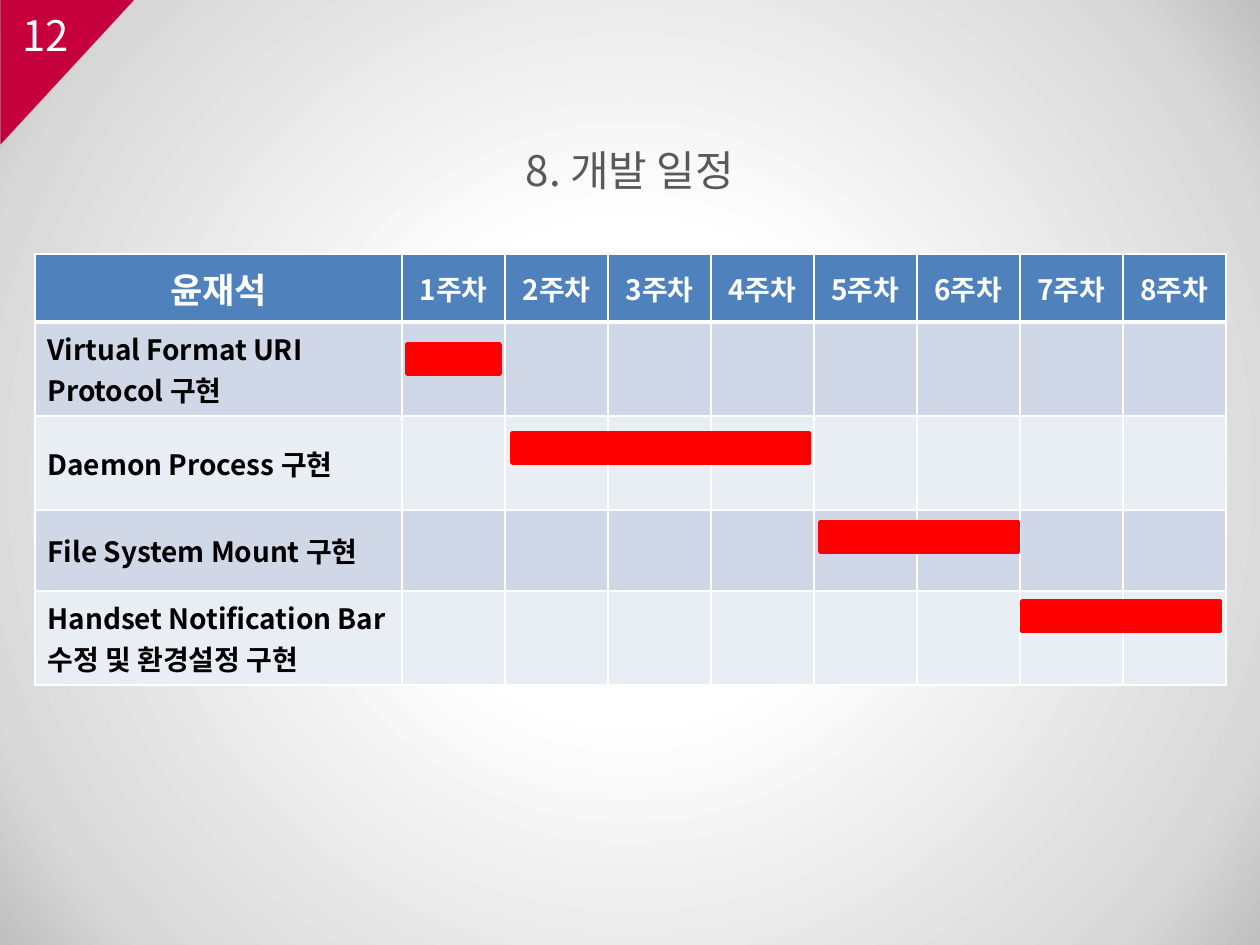
import pptx
import pptx.dml.color
import pptx.enum.shapes
import pptx.enum.text
import pptx.oxml
import pptx.oxml.ns
import pptx.util

RGBColor = pptx.dml.color.RGBColor
SHAPE = pptx.enum.shapes.MSO_SHAPE
ALIGN = pptx.enum.text.PP_ALIGN
MIDDLE = pptx.enum.text.MSO_ANCHOR.MIDDLE

FONT = "Noto Sans CJK KR"
WHITE = RGBColor(0xFF, 0xFF, 0xFF)
BLACK = RGBColor(0, 0, 0)
GREY = RGBColor(0x59, 0x59, 0x59)
CRIMSON = RGBColor(0xC5, 0x00, 0x3D)
RED = RGBColor(0xFF, 0, 0)
BLUE = RGBColor(0x4F, 0x81, 0xBD)
BANDS = [RGBColor(0xD0, 0xD8, 0xE8), RGBColor(0xE9, 0xED, 0xF4)]
BACKGROUND_STOPS = [(30, "FFFFFF"), (85, "D9D9D9"), (100, "BFBFBF")]

WEEKS = 8
TASK_WIDTH, WEEK_WIDTH = 367, 103
ROW_HEIGHTS = [68, 94, 94, 81, 94]
TASKS = [
    "Virtual Format URI Protocol 구현",
    "Daemon Process 구현",
    "File System Mount 구현",
    "Handset Notification Bar 수정 및 환경설정 구현",
]
# left, top, width of each task's bar
BARS = [(407, 344, 93), (512, 433, 297), (820, 522, 198), (1022, 601, 198)]
BAR_HEIGHT = 30


def px(n):
    return pptx.util.Emu(round(n * 914400 / 126))


def set_background(s):
    stops = "".join(
        f'<a:gs pos="{pos * 1000}"><a:srgbClr val="{color}"/></a:gs>'
        for pos, color in BACKGROUND_STOPS
    )
    bg = pptx.oxml.parse_xml(
        f'<p:bg {pptx.oxml.ns.nsdecls("p", "a")}><p:bgPr>'
        f'<a:gradFill><a:gsLst>{stops}</a:gsLst><a:path path="circle">'
        '<a:fillToRect l="50000" t="50000" r="50000" b="50000"/></a:path>'
        "</a:gradFill><a:effectLst/></p:bgPr></p:bg>"
    )
    s.element.cSld.insert(0, bg)


def write(tf, text, size, color, align=ALIGN.LEFT, bold=False):
    p = tf.paragraphs[0]
    p.alignment = align
    r = p.add_run()
    r.text = text
    r.font.size = pptx.util.Pt(size)
    r.font.bold = bold
    r.font.color.rgb = color
    r.font.name = FONT
    ea = pptx.oxml.parse_xml(
        f'<a:ea {pptx.oxml.ns.nsdecls("a")} typeface="{FONT}"/>'
    )
    r.font._element.append(ea)


def add_text(s, x, y, w, h, text, color, align=ALIGN.LEFT):
    tf = s.shapes.add_textbox(px(x), px(y), px(w), px(h)).text_frame
    tf.word_wrap = True
    tf.vertical_anchor = MIDDLE
    write(tf, text, 24, color, align)


def add_block(s, kind, x, y, w, h, color):
    sp = s.shapes.add_shape(kind, px(x), px(y), px(w), px(h))
    sp.shadow.inherit = False
    sp.fill.solid()
    sp.fill.fore_color.rgb = color
    sp.line.fill.background()
    return sp


def add_bar(s, x, y, w):
    sp = add_block(s, SHAPE.RECTANGLE, x, y, w, BAR_HEIGHT, RED)
    sp.line.color.rgb = RED
    sp.line.width = pptx.util.Pt(2)


def style_cell(cell, color, top=1, bottom=1):
    tc_pr = cell._tc.get_or_add_tcPr()
    for side, width in (("L", 1), ("R", 1), ("T", top), ("B", bottom)):
        tc_pr.append(pptx.oxml.parse_xml(
            f'<a:ln{side} {pptx.oxml.ns.nsdecls("a")} w="{width * 12700}">'
            f'<a:solidFill><a:srgbClr val="{WHITE}"/></a:solidFill></a:ln{side}>'
        ))
    cell.fill.solid()
    cell.fill.fore_color.rgb = color
    cell.vertical_anchor = MIDDLE


def add_schedule(s, x, y):
    widths = [TASK_WIDTH] + [WEEK_WIDTH] * WEEKS
    table = s.shapes.add_table(
        len(ROW_HEIGHTS), len(widths), px(x), px(y),
        px(sum(widths)), px(sum(ROW_HEIGHTS)),
    ).table
    for column, width in zip(table.columns, widths):
        column.width = px(width)
    for row, height in zip(table.rows, ROW_HEIGHTS):
        row.height = px(height)

    # Header: owner and weeks
    headings = ["윤재석"] + [f"{week}주차" for week in range(1, WEEKS + 1)]
    for col, heading in enumerate(headings):
        cell = table.cell(0, col)
        style_cell(cell, BLUE, bottom=3)
        size = 16 if col else 20
        write(cell.text_frame, heading, size, WHITE, ALIGN.CENTER, True)

    # Banded task rows
    for row, task in enumerate(TASKS, start=1):
        for cell in table.rows[row].cells:
            style_cell(cell, BANDS[(row - 1) % 2], top=3 if row == 1 else 1)
        write(table.cell(row, 0).text_frame, task, 16, BLACK, bold=True)


def main():
    prs = pptx.Presentation()
    prs.slide_width, prs.slide_height = px(1260), px(945)
    s = prs.slides.add_slide(prs.slide_layouts[6])
    set_background(s)

    # Page number in the corner
    corner = add_block(s, SHAPE.RIGHT_TRIANGLE, -5, 5, 145, 134, CRIMSON)
    corner.rotation = 90
    add_text(s, 10, 0, 123, 69, "12", WHITE)

    # Title
    add_text(s, 63, 135, 1134, 69, "8. 개발 일정", GREY, ALIGN.CENTER)

    # Schedule with its bars
    add_schedule(s, 35, 254)
    for bar in BARS:
        add_bar(s, *bar)

    prs.save("out.pptx")


if __name__ == "__main__":
    main()
